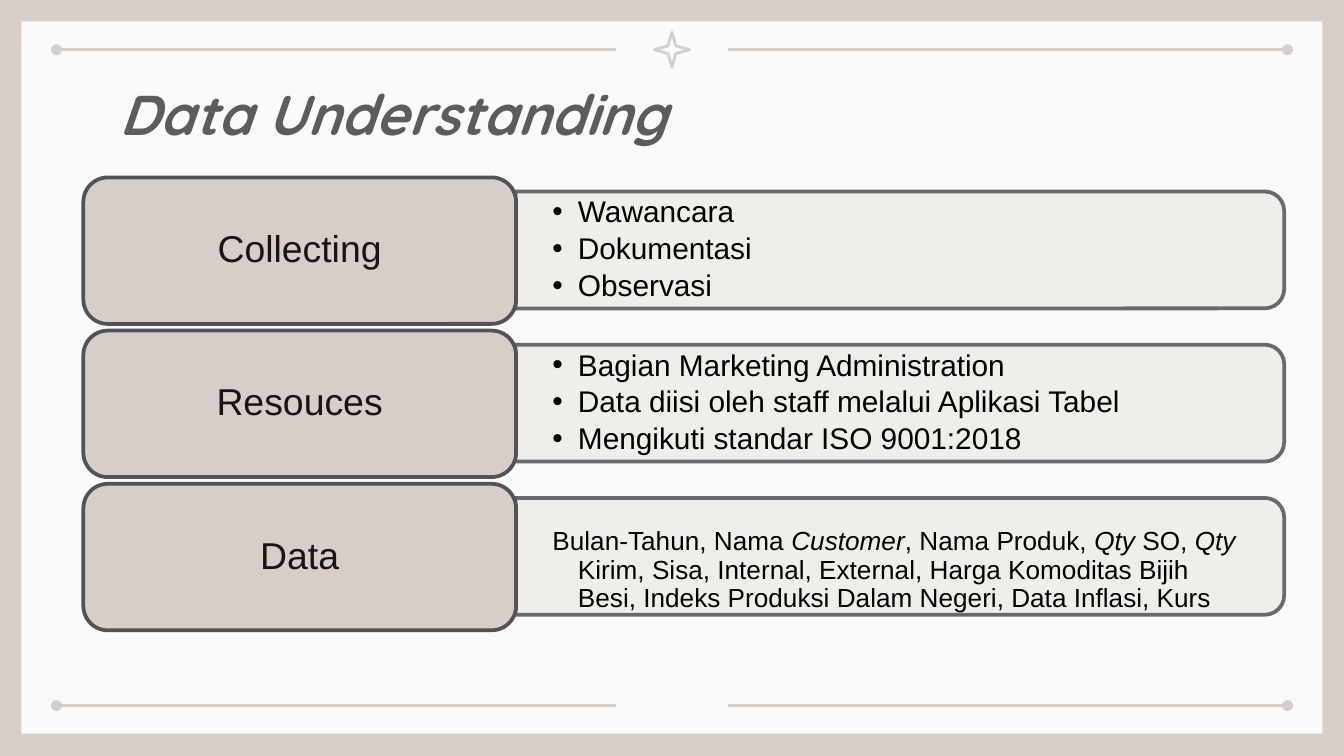
from pptx import Presentation
from pptx.dml.color import RGBColor
from pptx.enum.shapes import MSO_CONNECTOR, MSO_SHAPE as SHAPE
from pptx.enum.text import MSO_ANCHOR as ANCHOR, MSO_AUTO_SIZE, PP_ALIGN as ALIGN
from pptx.oxml.ns import qn
from pptx.util import Inches, Pt
from lxml.etree import SubElement

SAND = RGBColor(0xD8, 0xCE, 0xC9)
PAPER = RGBColor(0xFA, 0xFA, 0xFA)
PANEL = RGBColor(0xEF, 0xED, 0xEA)
PANEL_EDGE = RGBColor(0x5B, 0x5B, 0x5F)
CARD_EDGE = RGBColor(0x53, 0x53, 0x55)
TITLE_GREY = RGBColor(0x5C, 0x5C, 0x5F)
LABEL_INK = RGBColor(0x18, 0x14, 0x11)
BLACK = RGBColor(0, 0, 0)

# Each row: label, detail paragraphs as (text, italic) runs, size, bulleted, box height
ROWS = [
    ("Collecting",
     [[("Wawancara", False)], [("Dokumentasi", False)], [("Observasi", False)]],
     16, True, 0.78),
    ("Resouces",
     [[("Bagian Marketing Administration", False)],
      [("Data diisi oleh staff melalui Aplikasi Tabel", False)],
      [("Mengikuti standar ISO 9001:2018", False)]],
     16, True, 0.78),
    ("Data",
     [[("Bulan-Tahun, Nama ", False), ("Customer", True), (", Nama Produk, ", False),
       ("Qty", True), (" SO, ", False), ("Qty ", True),
       ("Kirim, Sisa, Internal, External, Harga Komoditas Bijih Besi, "
        "Indeks Produksi Dalam Negeri, Data Inflasi, Kurs", False)]],
     14, False, 0.99),
]
ROW_PITCH = 1.14


def add_box(kind, left, top, width, height, fill=None, edge=None, weight=0):
    box = slide.shapes.add_shape(kind, Inches(left), Inches(top), Inches(width), Inches(height))
    box.shadow.inherit = False
    if fill is None:
        box.fill.background()
    else:
        box.fill.solid()
        box.fill.fore_color.rgb = fill
    if edge is None:
        box.line.fill.background()
    else:
        box.line.color.rgb = edge
        box.line.width = Pt(weight)
    return box


def set_frame(frame, side, end):
    """Wrap and vertically centre a text frame with the given insets."""
    frame.word_wrap = True
    frame.vertical_anchor = ANCHOR.MIDDLE
    frame.margin_left = frame.margin_right = Inches(side)
    frame.margin_top = frame.margin_bottom = Inches(end)


prs = Presentation()
prs.slide_width = Inches(10)
prs.slide_height = prs.slide_width * 9 // 16
slide = prs.slides.add_slide(prs.slide_layouts[5])
slide.background.fill.solid()
slide.background.fill.fore_color.rgb = SAND

# Frame and ornaments
add_box(SHAPE.RECTANGLE, 0.16, 0.16, 9.68, 5.3, PAPER)
for y in (0.37, 5.25):
    for start, stop, dotted_end in ((0.42, 4.58, "a:headEnd"), (5.42, 9.58, "a:tailEnd")):
        rule = slide.shapes.add_connector(
            MSO_CONNECTOR.STRAIGHT, Inches(start), Inches(y), Inches(stop), Inches(y))
        rule.line.color.rgb = SAND
        rule.line.width = Pt(1.5)
        SubElement(rule.line._get_or_add_ln(), qn(dotted_end), type="oval")
        SubElement(rule._element.spPr, qn("a:effectLst"))
star = add_box(SHAPE.STAR_4_POINT, 4.87, 0.24, 0.26, 0.26, edge=SAND, weight=1.5)
star.adjustments[0] = 0.157

# Title, brought in front of the paper
title = slide.shapes.title
slide.shapes._spTree.append(title._element)
title.left, title.top, title.width, title.height = map(Inches, (0.79, 0.49, 8.43, 0.63))
heading = title.text_frame
heading.text = "Data Understanding"
set_frame(heading, 0.1, 0.1)
heading.vertical_anchor = ANCHOR.TOP
heading.auto_size = MSO_AUTO_SIZE.NONE
heading.paragraphs[0].alignment = ALIGN.LEFT
font = heading.paragraphs[0].runs[0].font
font.name, font.size, font.bold, font.italic = "Quicksand", Pt(30), True, True
font.color.rgb = TITLE_GREY

# Rows: rotated panel, its details, and the label card on the left
for row, (label, details, size, bulleted, detail_height) in enumerate(ROWS):
    offset = row * ROW_PITCH

    panel = add_box(SHAPE.ROUND_2_SAME_RECTANGLE, 6.26, offset - 1, 0.87, 5.72,
                    PANEL, PANEL_EDGE, 2)
    panel.rotation = 90
    panel.adjustments[0], panel.adjustments[1] = 0.167, 0
    for color in panel._element.spPr.iter(qn("a:srgbClr")):
        SubElement(color, qn("a:alpha"), val="90000")

    detail_box = slide.shapes.add_textbox(
        Inches(3.84), Inches(1.47 + offset), Inches(5.68), Inches(detail_height))
    detail_frame = detail_box.text_frame
    set_frame(detail_frame, 0.27, 0.14)
    for index, runs in enumerate(details):
        detail = detail_frame.add_paragraph() if index else detail_frame.paragraphs[0]
        properties = detail._p.get_or_add_pPr()
        properties.set("marL", str(Inches(0.19)))
        properties.set("indent", str(Inches(-0.19)))
        if bulleted:
            bullet_color = SubElement(properties, qn("a:buClr"))
            SubElement(bullet_color, qn("a:srgbClr"), val=str(BLACK))
            SubElement(properties, qn("a:buFont"), typeface="Arial")
            SubElement(properties, qn("a:buChar"), char="•")
        detail.line_spacing = 0.9
        if index:
            detail.space_before = Pt(2.4)
        for text, italic in runs:
            run = detail.add_run()
            run.text = text
            run.font.name, run.font.size, run.font.italic = "Arial", Pt(size), italic
            run.font.color.rgb = BLACK

    card = add_box(SHAPE.ROUNDED_RECTANGLE, 0.62, 1.32 + offset, 3.22, 1.09,
                   SAND, CARD_EDGE, 2)
    card.adjustments[0] = 0.167
    card.text_frame.text = label
    set_frame(card.text_frame, 0.08, 0.04)
    caption = card.text_frame.paragraphs[0]
    caption.alignment = ALIGN.CENTER
    caption.line_spacing = 0.9
    font = caption.runs[0].font
    font.name, font.size = "Arial", Pt(20)
    font.color.rgb = LABEL_INK

prs.save("out.pptx")
